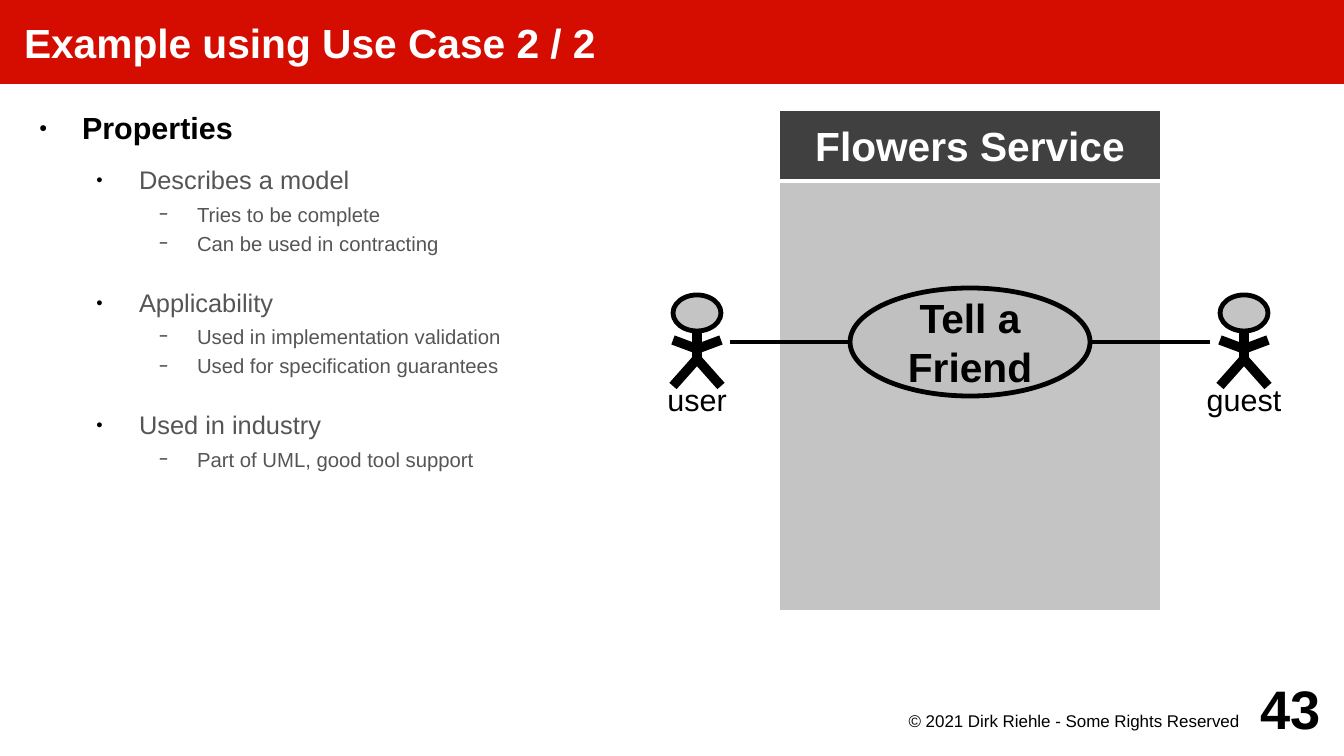
from dataclasses import dataclass

from lxml import etree
from pptx import Presentation
from pptx.dml.color import RGBColor
from pptx.enum.shapes import MSO_CONNECTOR as Connector, MSO_SHAPE as Shape
from pptx.enum.text import MSO_ANCHOR as Anchor, MSO_AUTO_SIZE as AutoSize, PP_ALIGN as Align
from pptx.oxml.ns import qn
from pptx.util import Pt

TITLE = "Example using Use Case 2 / 2"
OUTLINE = [
    ("Properties", [
        ("Describes a model", ["Tries to be complete", "Can be used in contracting"]),
        ("Applicability", ["Used in implementation validation",
                           "Used for specification guarantees"]),
        ("Used in industry", ["Part of UML, good tool support"]),
    ]),
]
SYSTEM = "Flowers Service"
USE_CASE = ["Tell a", "Friend"]
ACTORS = [("user", 697), ("guest", 1244)]  # name, centre x
COPYRIGHT = "© 2021 Dirk Riehle - Some Rights Reserved"
PAGE_NUMBER = "43"

PX = 7495  # EMU: 122 px to the inch
SLIDE = (1344, 756)
TITLE_BAR = (0, 0, 1344, 84)
OUTLINE_BOX = (24, 109, 633, 553)
SYSTEM_HEADER = (778, 109, 384, 72)
SYSTEM_BODY = (778, 181, 384, 432)
USE_CASE_OVAL = (850, 288, 240, 108)
ASSOCIATION = (730, 342, 1210, 342)
COPYRIGHT_BOX = (865, 709, 384, 37)
PAGE_NUMBER_BOX = (1225, 672, 96, 72)

# Actor: offsets from the centre x, absolute y
REACH, HEAD_TOP, HEAD_HEIGHT = 24, 295, 36
NECK, HAND, SHOULDER, HIP, FOOT = 314, 340, 349, 359, 386
LIMBS = [(0, HIP, 0, NECK),
         (-REACH, HAND, 0, SHOULDER), (0, SHOULDER, REACH, HAND),
         (0, HIP, REACH, FOOT), (0, HIP, -REACH, FOOT)]
LABEL_WIDTH, LABEL_HEIGHT = 96, 26


@dataclass(frozen=True)
class Theme:
    font: str = "Arial"
    red: str = "D50D01"
    white: str = "FFFFFF"
    black: str = "000000"
    dark: str = "404040"
    panel: str = "C4C4C4"
    oval: str = "C0C0C0"
    grey: str = "555555"
    heading: int = 24
    label: int = 18
    topic: int = 15
    detail: int = 12
    small: int = 10
    page: int = 32
    thin: float = 2.83
    thick: float = 5.67


T = Theme()
LEVELS = [
    dict(bullet="●", percent=45, margin=58, hang=43,
         style=dict(size=T.label, bold=True, after=8.4)),
    dict(bullet="●", percent=45, margin=115, hang=43,
         style=dict(size=T.topic, color=T.grey, before=2.8, after=2.8)),
    dict(bullet="−", percent=75, margin=173, hang=38,
         style=dict(size=T.detail, color=T.grey, before=1.4, after=1.4)),
]
TOPIC_GAP = 17  # pt before every topic but the first


def rgb(code):
    return RGBColor.from_string(code)


def px(values):
    return [value * PX for value in values]


def write(paragraph, text, *, size, color=T.black, bold=False, align=Align.LEFT,
          before=0, after=0):
    paragraph.alignment = align
    paragraph.space_before, paragraph.space_after = Pt(before), Pt(after)
    run = paragraph.add_run()
    run.text = text
    run.font.name, run.font.size, run.font.bold = T.font, Pt(size), bold
    run.font.color.rgb = rgb(color)


def set_frame(shape, insets=(0, 0, 0, 0), anchor=Anchor.MIDDLE, wrap=True):
    frame = shape.text_frame
    frame.auto_size, frame.word_wrap = AutoSize.NONE, wrap
    frame.vertical_anchor = anchor
    (frame.margin_left, frame.margin_top,
     frame.margin_right, frame.margin_bottom) = px(insets)
    return frame


def place(shape, box):
    shape.left, shape.top, shape.width, shape.height = px(box)


def add_box(shapes, kind, box, fill, line):
    shape = shapes.add_shape(kind, *px(box))
    shape.shadow.inherit = False
    shape.fill.solid()
    shape.fill.fore_color.rgb = rgb(fill)
    shape.line.color.rgb = rgb(line)
    shape.line.width = Pt(T.thin)
    return shape


def add_caption(shape, lines, color):
    frame = set_frame(shape, (10, 10, 10, 10), wrap=False)
    for index, text in enumerate(lines):
        paragraph = frame.add_paragraph() if index else frame.paragraphs[0]
        write(paragraph, text, size=T.heading, color=color, bold=True, align=Align.CENTER)


def add_label(shapes, box, text, insets=(0, 0, 0, 0), anchor=Anchor.MIDDLE, **style):
    frame = set_frame(shapes.add_textbox(*px(box)), insets, anchor)
    write(frame.paragraphs[0], text, **style)


def add_line(shapes, ends, width):
    line = shapes.add_connector(Connector.STRAIGHT, *px(ends))
    line.line.color.rgb = rgb(T.black)
    line.line.width = Pt(width)
    etree.SubElement(line._element.spPr, qn("a:effectLst"))


def add_actor(shapes, name, x):
    for x1, y1, x2, y2 in LIMBS:
        add_line(shapes, (x + x1, y1, x + x2, y2), T.thick)
    add_box(shapes, Shape.OVAL, (x - REACH, HEAD_TOP, 2 * REACH, HEAD_HEIGHT),
            T.panel, T.black)
    add_label(shapes, (x - LABEL_WIDTH // 2, FOOT, LABEL_WIDTH, LABEL_HEIGHT), name,
              size=T.label, align=Align.CENTER)


def set_bullet(paragraph, bullet, percent, margin, hang):
    properties = paragraph._p.get_or_add_pPr()
    properties.set("marL", str(margin * PX))
    properties.set("indent", str(-hang * PX))
    color = etree.SubElement(properties, qn("a:buClr"))
    etree.SubElement(color, qn("a:srgbClr"), val=T.black)
    etree.SubElement(properties, qn("a:buSzPct"), val=str(percent * 1000))
    etree.SubElement(properties, qn("a:buFont"), typeface=T.font)
    etree.SubElement(properties, qn("a:buChar"), char=bullet)


def flatten(outline):
    """Yield (level, text, space before or None) for each line of the outline."""
    for heading, topics in outline:
        yield 0, heading, None
        for index, (topic, details) in enumerate(topics):
            yield 1, topic, TOPIC_GAP if index else None
            for detail in details:
                yield 2, detail, None


def fill_outline(body):
    place(body, OUTLINE_BOX)
    frame = set_frame(body, anchor=Anchor.TOP)
    for index, (level, text, gap) in enumerate(flatten(OUTLINE)):
        paragraph = frame.add_paragraph() if index else frame.paragraphs[0]
        paragraph.level = level
        look = dict(LEVELS[level])
        style = dict(look.pop("style"))
        if gap:
            style["before"] = gap
        set_bullet(paragraph, **look)
        write(paragraph, text, **style)


def main():
    deck = Presentation()
    deck.slide_width, deck.slide_height = px(SLIDE)
    slide = deck.slides.add_slide(deck.slide_layouts[1])
    shapes = slide.shapes

    title = shapes.title
    place(title, TITLE_BAR)
    title.fill.solid()
    title.fill.fore_color.rgb = rgb(T.red)
    write(set_frame(title, (24, 0, 0, 0)).paragraphs[0], TITLE,
          size=T.heading, color=T.white, bold=True)
    fill_outline(slide.placeholders[1])

    add_box(shapes, Shape.RECTANGLE, SYSTEM_BODY, T.panel, T.white)
    header = add_box(shapes, Shape.RECTANGLE, SYSTEM_HEADER, T.dark, T.white)
    add_caption(header, [SYSTEM], T.white)
    add_line(shapes, ASSOCIATION, T.thin)
    use_case = add_box(shapes, Shape.OVAL, USE_CASE_OVAL, T.oval, T.black)
    add_caption(use_case, USE_CASE, T.black)
    for name, x in ACTORS:
        add_actor(shapes, name, x)

    add_label(shapes, COPYRIGHT_BOX, COPYRIGHT, (0, 2, 10, 0), Anchor.TOP,
              size=T.small, align=Align.RIGHT)
    add_label(shapes, PAGE_NUMBER_BOX, PAGE_NUMBER,
              size=T.page, bold=True, align=Align.RIGHT)
    deck.save("out.pptx")


if __name__ == "__main__":
    main()
